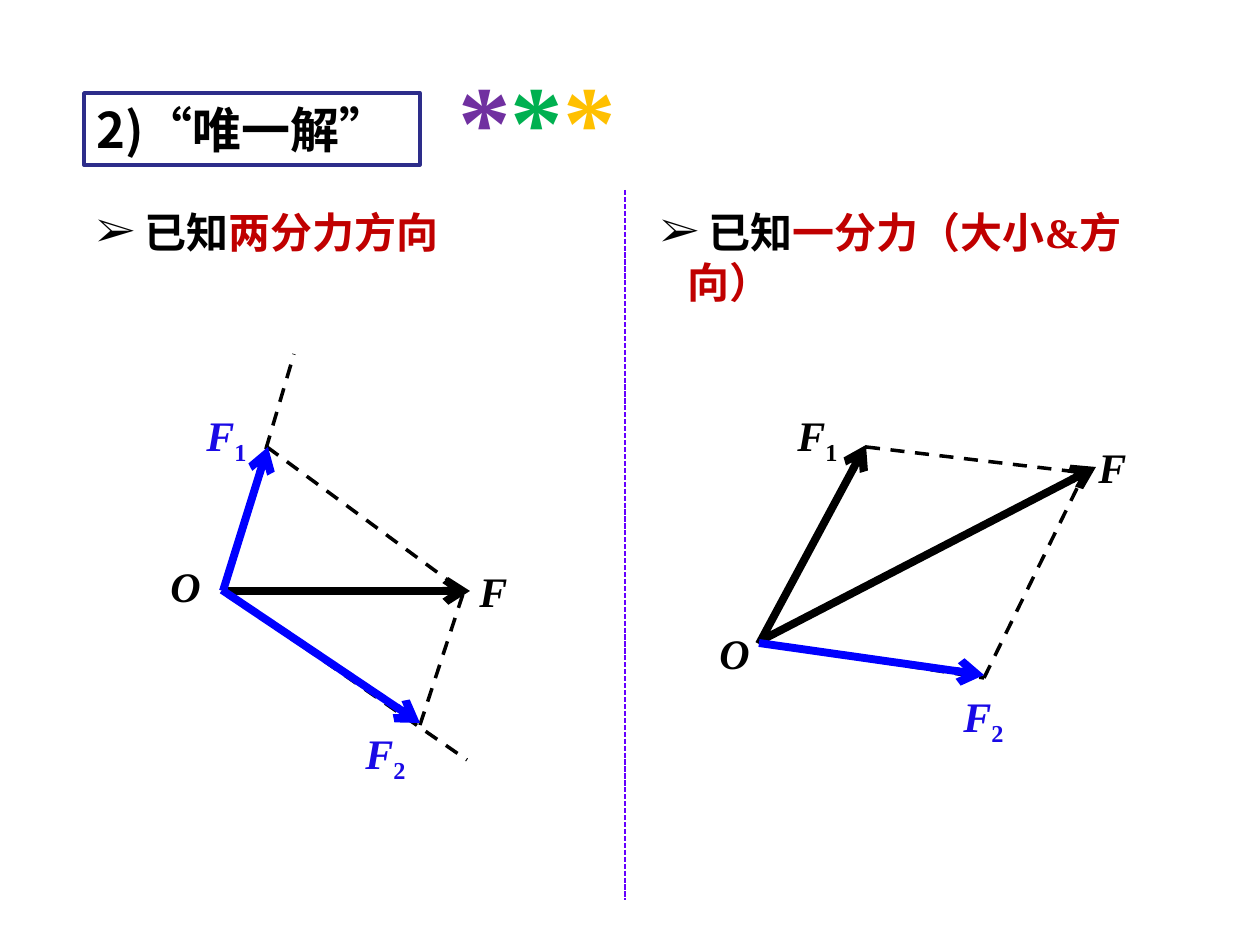
from lxml import etree
from pptx import Presentation
from pptx.dml.color import RGBColor
from pptx.enum.dml import MSO_LINE
from pptx.enum.shapes import MSO_CONNECTOR
from pptx.enum.text import MSO_ANCHOR, MSO_AUTO_SIZE, PP_ALIGN
from pptx.oxml.ns import qn
from pptx.util import Emu, Pt

SCALE = 914400 / 126
BLACK = RGBColor(0x00, 0x00, 0x00)
WHITE = RGBColor(0xFF, 0xFF, 0xFF)
NAVY = RGBColor(0x2D, 0x2D, 0x8A)
RED = RGBColor(0xC0, 0x00, 0x00)
BLUE = RGBColor(0x00, 0x00, 0xFF)
INDIGO = RGBColor(0x1A, 0x0A, 0xE6)
VIOLET = RGBColor(0x66, 0x00, 0xFF)
PURPLE = RGBColor(0x70, 0x30, 0xA0)
GREEN = RGBColor(0x00, 0xB0, 0x50)
GOLD = RGBColor(0xFF, 0xC0, 0x00)
SERIF = "Times New Roman"
SANS = "Noto Sans CJK SC"
DASH = MSO_LINE.DASH
DOTS = MSO_LINE.SQUARE_DOT
STRAIGHT = MSO_CONNECTOR.STRAIGHT
LEFT = PP_ALIGN.LEFT
TOP = MSO_ANCHOR.TOP
FIXED = MSO_AUTO_SIZE.NONE


def px(n):
    return Emu(round(n * SCALE))


def place(shape, box):
    shape.left, shape.top, shape.width, shape.height = map(px, box)


def write(shape, parts, size, face=SERIF, wrap=True):
    frame = shape.text_frame
    frame.word_wrap = wrap
    frame.auto_size = FIXED
    frame.vertical_anchor = TOP
    para = frame.paragraphs[0]
    para.alignment = LEFT
    para.space_before = Pt(0)
    para.font.size = Pt(size)
    para.font.name = face
    para.font.bold = True
    for text, color in parts:
        run = para.add_run()
        run.text = text
        run.font.color.rgb = color
        props = run.font._element
        props.set("lang", "zh-CN")
        etree.SubElement(props, qn("a:ea")).set("typeface", SANS)
    return para


def head(slide):
    title = slide.shapes.title
    place(title, (84, 93, 336, 72))
    title.fill.solid()
    title.fill.fore_color.rgb = WHITE
    title.line.color.rgb = NAVY
    title.line.width = Pt(2)
    write(title, [("2)“唯一解”", BLACK)], 28, SANS)


def point(slide, idx, box, text):
    body = slide.placeholders[idx]
    place(body, box)
    para = write(body, [(" 已知", BLACK), (text, RED)], 24)
    props = para._p.get_or_add_pPr()
    indent = px(27)
    props.set("marL", str(indent))
    props.set("indent", str(-indent))
    font = etree.Element(qn("a:buFont"))
    font.set("typeface", SERIF)
    mark = etree.Element(qn("a:buChar"))
    mark.set("char", "➢")
    spot = props.index(props.find(qn("a:defRPr")))
    props.insert(spot, font)
    props.insert(spot + 1, mark)


def line(slide, ends, color=BLACK, width=2, dash=DASH):
    link = slide.shapes.add_connector(STRAIGHT, *map(px, ends))
    link.line.color.rgb = color
    link.line.width = Pt(width)
    if dash:
        link.line.dash_style = dash
    etree.SubElement(link._element.spPr, qn("a:effectLst"))
    return link


def arrow(slide, ends, color=BLACK):
    link = line(slide, ends, color, 4.5, None)
    tail = etree.SubElement(link.line._get_or_add_ln(), qn("a:tailEnd"))
    tail.set("type", "arrow")


def label(slide, x, y, text, sub="", color=BLACK):
    box = slide.shapes.add_textbox(px(x), px(y), px(68 if sub else 56), px(63))
    parts = [(text, color)] + ([(sub, color)] if sub else [])
    para = write(box, parts, 24, wrap=False)
    para.runs[0].font.italic = True
    if sub:
        para.runs[1].font._element.set("baseline", "-25000")


def stars(slide):
    box = slide.shapes.add_textbox(px(446), px(11), px(227), px(161))
    para = write(box, [("*", c) for c in (PURPLE, GREEN, GOLD)], 60)
    para.line_spacing = 1.3


def known_ways(slide):
    arrow(slide, (223, 591, 470, 591))
    for ends in ((224, 591, 294, 354), (223, 591, 467, 760),
                 (267, 447, 464, 592), (420, 725, 464, 591)):
        line(slide, ends)
    arrow(slide, (223, 591, 268, 447), BLUE)
    arrow(slide, (222, 590, 420, 723), BLUE)
    label(slide, 158, 554, "O")
    label(slide, 467, 559, "F")
    label(slide, 194, 403, "F", "1", INDIGO)
    label(slide, 353, 721, "F", "2", INDIGO)


def known_force(slide):
    for ends in ((760, 643, 984, 678), (866, 447, 1086, 473),
                 (984, 678, 1086, 470)):
        line(slide, ends)
    arrow(slide, (762, 640, 1096, 467))
    arrow(slide, (759, 644, 866, 445))
    arrow(slide, (759, 643, 984, 675), BLUE)
    label(slide, 707, 621, "O")
    label(slide, 1086, 435, "F")
    label(slide, 785, 403, "F", "1")
    label(slide, 951, 684, "F", "2", INDIGO)


def main():
    deck = Presentation()
    deck.slide_width, deck.slide_height = px(1260), px(945)
    slide = deck.slides.add_slide(deck.slide_layouts[3])
    head(slide)
    point(slide, 1, (84, 200, 507, 63), "两分力方向")
    point(slide, 2, (648, 200, 568, 63), "一分力（大小&方向）")
    known_ways(slide)
    known_force(slide)
    line(slide, (625, 190, 625, 900), VIOLET, 1, DOTS)
    stars(slide)
    deck.save("out.pptx")


main()
